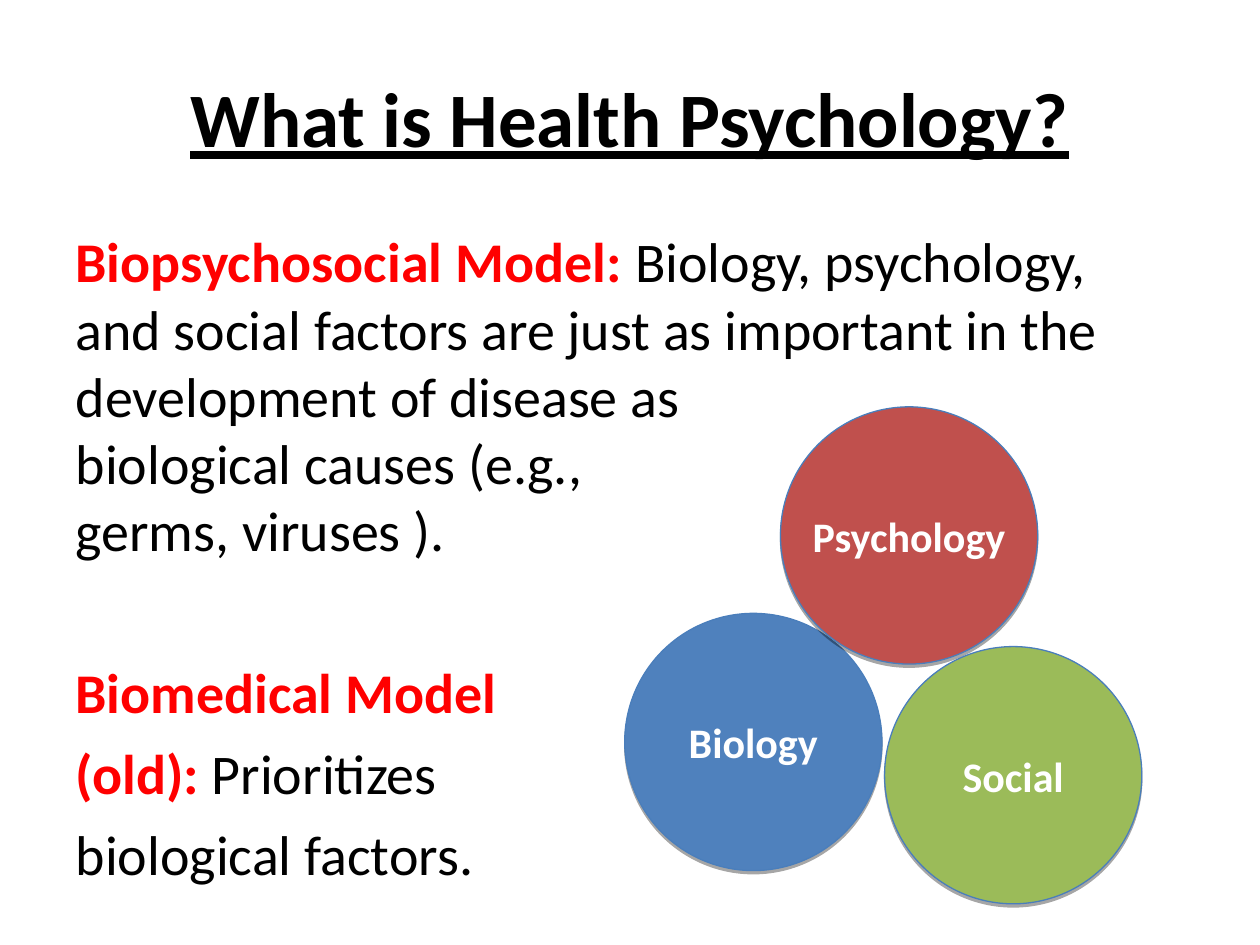
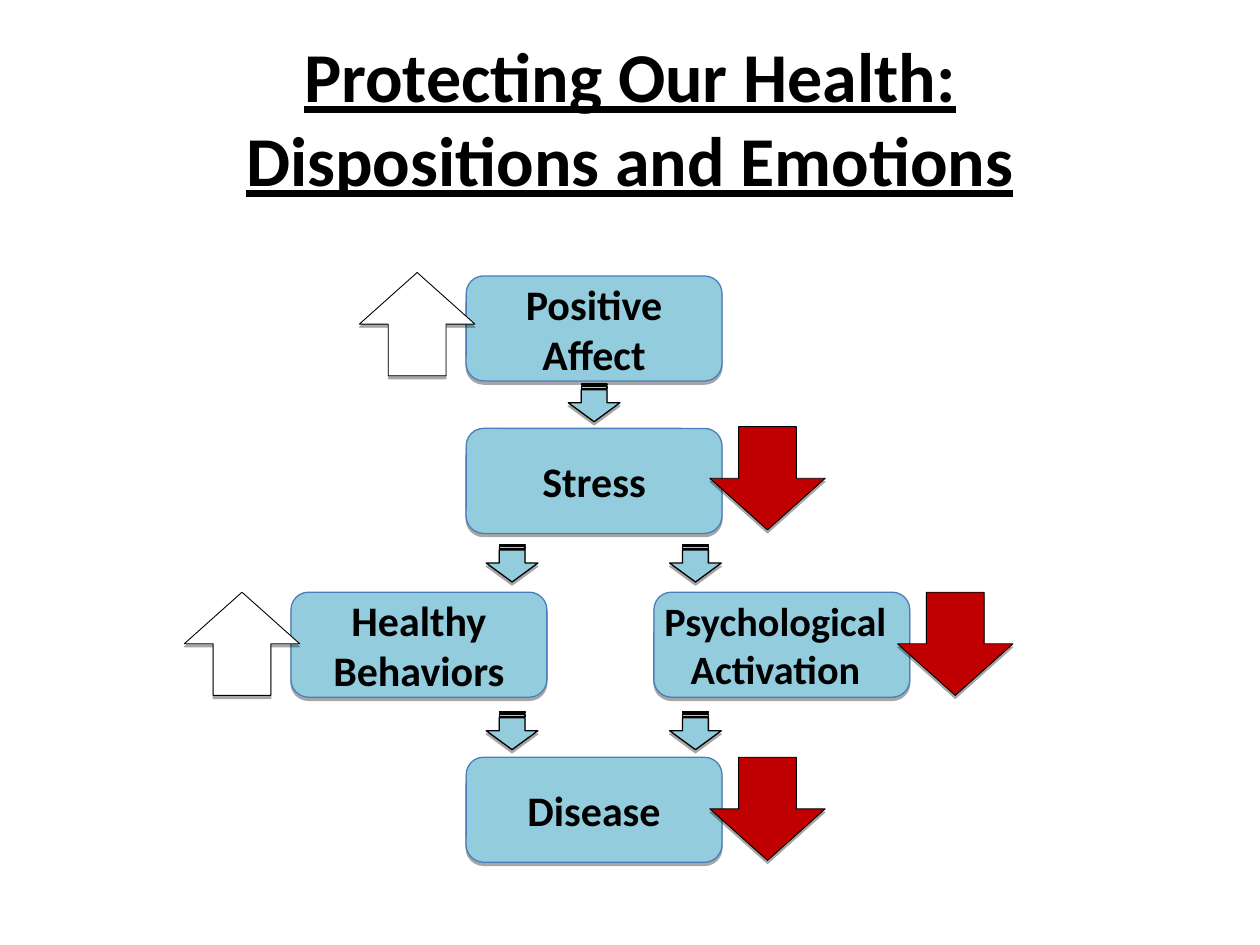
import pptx
import pptx.dml.color
import pptx.enum.shapes
import pptx.enum.text
import pptx.oxml.ns
import pptx.util
from lxml import etree

Pt = pptx.util.Pt
PRESET = pptx.enum.shapes.MSO_SHAPE
ALIGN = pptx.enum.text.PP_ALIGN
ANCHOR = pptx.enum.text.MSO_ANCHOR
qn = pptx.oxml.ns.qn

FONT = "Calibri"
BLACK, WHITE = "000000", "FFFFFF"
TERM_RED, FALL_RED = "FF0000", "C00000"
BLUE, BRICK, GREEN = "4F81BD", "C0504D", "9BBB59"
OUTLINE, STEP_BLUE = "4A7EBB", "93CDDD"

TITLE_ONLY, TITLE_AND_BODY = 5, 1
CIRCLE = 147
STEP_WIDTH, STEP_HEIGHT = 146.2, 60
TREND_WIDTH, TREND_HEIGHT = 66, 59
FLOW_LENGTH, FLOW_WIDTH = 21.6, 29.5
RISE_OVERLAP, FALL_OVERLAP = 5, 7


def color(hex_code):
    return pptx.dml.color.RGBColor.from_string(hex_code)


def add_text(paragraph, text, size, hex_code, bold=True, underline=False):
    for index, line in enumerate(text.split("\n")):
        if index:
            paragraph.add_line_break()
        run = paragraph.add_run()
        run.text = line
        run.font.name = FONT
        run.font.size = Pt(size)
        run.font.bold = bold
        run.font.underline = underline
        run.font.color.rgb = color(hex_code)


def place(element, left, top, width, height):
    element.left, element.top = Pt(left), Pt(top)
    element.width, element.height = Pt(width), Pt(height)


def add_slide(deck, layout, heading, size):
    slide = deck.slides.add_slide(deck.slide_layouts[layout])
    title = slide.shapes.title
    place(title, 36, 21.6, 648, 90)
    title.text_frame.auto_size = pptx.enum.text.MSO_AUTO_SIZE.NONE
    title.text_frame.vertical_anchor = ANCHOR.MIDDLE
    paragraph = title.text_frame.paragraphs[0]
    paragraph.alignment = ALIGN.CENTER
    add_text(paragraph, heading, size, BLACK, underline=True)
    return slide


def fill_body(body, paragraphs):
    place(body, 36, 126, 648, 396)
    frame = body.text_frame
    frame.auto_size = pptx.enum.text.MSO_AUTO_SIZE.NONE
    for index, (space_before, term, explanation) in enumerate(paragraphs):
        paragraph = frame.add_paragraph() if index else frame.paragraphs[0]
        properties = paragraph._p.get_or_add_pPr()
        properties.set("marL", "0")
        properties.set("indent", "0")
        etree.SubElement(properties, qn("a:buNone"))
        paragraph.space_before = Pt(space_before)
        if term:
            add_text(paragraph, term, 32, TERM_RED)
        if explanation:
            add_text(paragraph, explanation, 32, BLACK, bold=False)


def add_shadow(shape):
    shape.shadow.inherit = False
    effects = shape._element.spPr.find(qn("a:effectLst"))
    shadow = etree.SubElement(effects, qn("a:outerShdw"), blurRad="0",
                              dist=str(Pt(1.8)), dir="5400000", rotWithShape="0")
    shade = etree.SubElement(shadow, qn("a:srgbClr"), val=BLACK)
    etree.SubElement(shade, qn("a:alpha"), val="35000")


def add_figure(slide, preset, left, top, width, height, fill, outline, weight=0.75):
    figure = slide.shapes.add_shape(preset, Pt(left), Pt(top), Pt(width), Pt(height))
    figure.fill.solid()
    figure.fill.fore_color.rgb = color(fill)
    figure.line.color.rgb = color(outline)
    figure.line.width = Pt(weight)
    add_shadow(figure)
    return figure


def add_label(figure, text, size, hex_code, wrap=True, left_inset=7.2):
    frame = figure.text_frame
    frame.word_wrap = wrap
    frame.margin_left = Pt(left_inset)
    frame.vertical_anchor = ANCHOR.MIDDLE
    paragraph = frame.paragraphs[0]
    paragraph.alignment = ALIGN.CENTER
    add_text(paragraph, text, size, hex_code)


def add_factor(slide, name, left, top, fill):
    circle = add_figure(slide, PRESET.OVAL, left, top, CIRCLE, CIRCLE, fill, OUTLINE)
    wraps = name != "Psychology"
    add_label(circle, name, 24, WHITE, wrap=wraps)


def add_step(slide, name, left, top, size=24, left_inset=7.2):
    box = add_figure(slide, PRESET.ROUNDED_RECTANGLE, left, top,
                     STEP_WIDTH, STEP_HEIGHT, STEP_BLUE, OUTLINE)
    add_label(box, name, size, BLACK, left_inset=left_inset)


def add_trend(slide, rises, step_left, step_top):
    if rises:
        preset, fill = PRESET.UP_ARROW, WHITE
        left = step_left + RISE_OVERLAP - TREND_WIDTH
    else:
        preset, fill = PRESET.DOWN_ARROW, FALL_RED
        left = step_left + STEP_WIDTH - FALL_OVERLAP
    add_figure(slide, preset, left, step_top, TREND_WIDTH, TREND_HEIGHT, fill, BLACK, 0.5)


def add_flow(slide, center, top):
    arrow = add_figure(slide, PRESET.STRIPED_RIGHT_ARROW, center - FLOW_LENGTH / 2,
                       top + (FLOW_LENGTH - FLOW_WIDTH) / 2,
                       FLOW_LENGTH, FLOW_WIDTH, STEP_BLUE, BLACK)
    arrow.rotation = 90


def build_models(deck):
    slide = add_slide(deck, TITLE_AND_BODY, "What is Health Psychology?", 44)
    fill_body(slide.placeholders[1], [
        (0, "Biopsychosocial Model: ",
         "Biology, psychology, and social factors are just as important in the "
         "development of disease as\nbiological causes (e.g.,\ngerms, viruses )."),
        (54, "Biomedical Model", ""),
        (8, "(old):", " Prioritizes"),
        (8, "", "biological factors."),
    ])
    add_factor(slide, "Biology", 357, 350.5, BLUE)
    add_factor(slide, "Psychology", 446, 232.5, BRICK)
    add_factor(slide, "Social", 505.5, 369.5, GREEN)


def build_pathway(deck):
    slide = add_slide(deck, TITLE_ONLY,
                      "Protecting Our Health:\nDispositions and Emotions", 40)
    middle, left, right = 266.4, 166.3, 373.7
    affect_top, stress_top, response_top, disease_top = 157.7, 244.8, 338.4, 432.7
    add_step(slide, "Positive Affect", middle, affect_top)
    add_step(slide, "Stress", middle, stress_top)
    add_step(slide, "Healthy Behaviors", left, response_top)
    add_step(slide, "Psychological Activation", right, response_top, 23, 0)
    add_step(slide, "Disease", middle, disease_top)

    add_flow(slide, middle + STEP_WIDTH / 2, 219.4)
    for top in (311, 406.8):
        for center in (292.6, 397.4):
            add_flow(slide, center, top)

    add_trend(slide, True, middle, affect_top - 2)
    add_trend(slide, True, left, response_top)
    for step_left, step_top in ((middle, stress_top - 1), (right, response_top),
                                (middle, disease_top)):
        add_trend(slide, False, step_left, step_top)


def main():
    deck = pptx.Presentation()
    deck.slide_width, deck.slide_height = Pt(720), Pt(540)
    build_models(deck)
    build_pathway(deck)
    deck.save("out.pptx")


if __name__ == "__main__":
    main()
